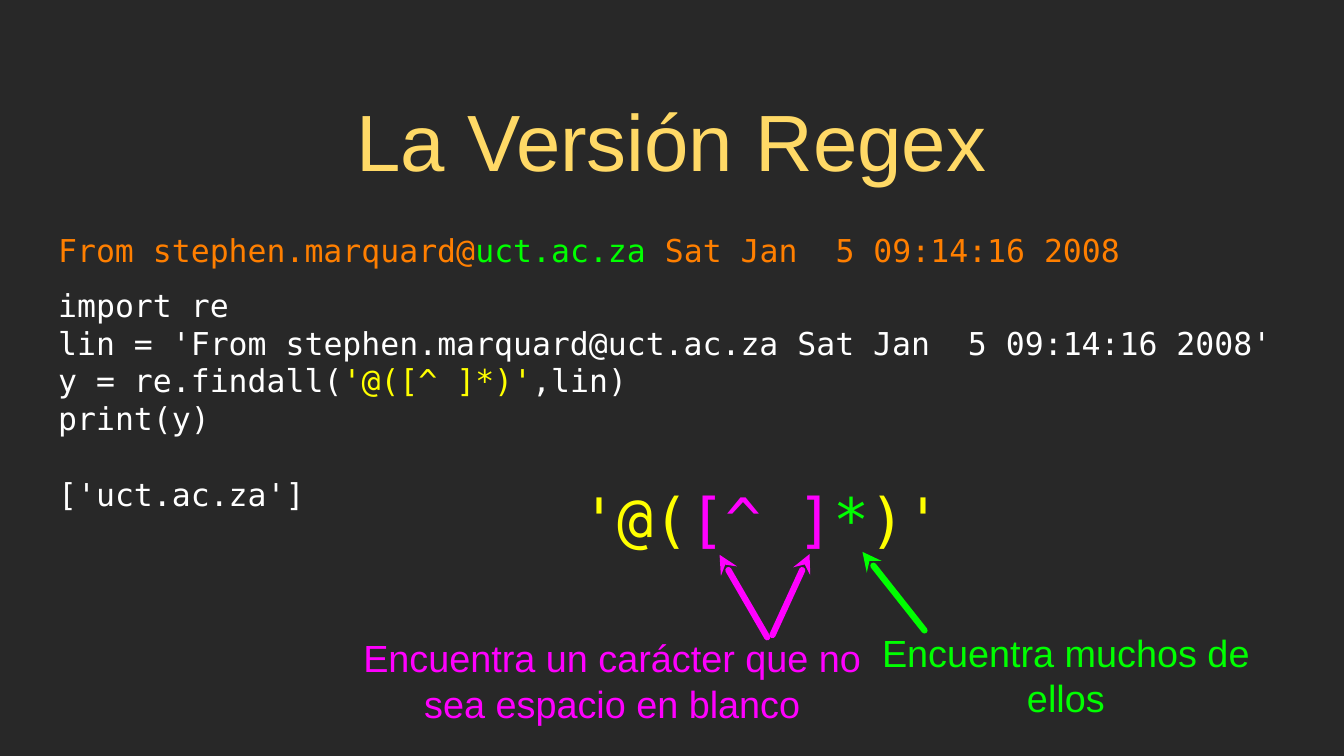
"""Build a slide that explains a regular expression."""
from dataclasses import dataclass

import pptx
import pptx.util
import pptx.dml.color
import pptx.enum.shapes
import pptx.enum.text
import lxml.etree

Pt = pptx.util.Pt
ALIGN = pptx.enum.text.PP_ALIGN
NS = "http://schemas.openxmlformats.org/drawingml/2006/main"


@dataclass(frozen=True)
class Theme:
    """Hold the colours, fonts and type sizes."""
    back: str = "282828"
    gold: str = "FFD966"
    white: str = "FFFFFF"
    yellow: str = "FFFF00"
    pink: str = "FF00FF"
    green: str = "00FF00"
    orange: str = "FF7F00"
    sans: str = "Arial"
    mono: str = "DejaVu Sans Mono"
    title: int = 76
    large: int = 57
    note: int = 36
    code: int = 30


THEME = Theme()


def paint(color):
    """Turn a hex string into a colour."""
    return pptx.dml.color.RGBColor.from_string(color)


def place(shape, box):
    """Move a shape to a box given in points."""
    for name, value in zip(("left", "top", "width", "height"), box):
        setattr(shape, name, Pt(value))


def write(shape, lines, face, size, align=ALIGN.LEFT, inset=0):
    """Fill a shape with lines, each a list of text and colour pairs."""
    frame = shape.text_frame
    sides = ("left", "top", "right", "bottom")
    form = {f"margin_{side}": Pt(inset) for side in sides}
    form |= {
        "word_wrap": True,
        "auto_size": pptx.enum.text.MSO_AUTO_SIZE.NONE,
        "vertical_anchor": pptx.enum.text.MSO_ANCHOR.MIDDLE,
    }
    for name, value in form.items():
        setattr(frame, name, value)
    for index, line in enumerate(lines):
        para = frame.add_paragraph() if index else frame.paragraphs[0]
        para.alignment = align
        for text, color in line:
            run = para.add_run()
            run.text = text
            for name, value in {"name": face, "size": Pt(size)}.items():
                setattr(run.font, name, value)
            run.font.color.rgb = paint(color)
    return frame


def add_text(slide, box, lines, face, size, align=ALIGN.LEFT):
    """Add a text box with styled lines."""
    shape = slide.shapes.add_textbox(*map(Pt, box))
    return write(shape, lines, face, size, align)


def add_arrow(slide, tip, tail, color):
    """Draw a thick arrow that points at the tip."""
    kind = pptx.enum.shapes.MSO_CONNECTOR.STRAIGHT
    arrow = slide.shapes.add_connector(kind, *map(Pt, tip + tail))
    arrow.line.color.rgb = paint(color)
    arrow.line.width = Pt(6)
    props = arrow._element.spPr
    line = props.find(f"{{{NS}}}ln")
    line.set("cap", "rnd")
    lxml.etree.SubElement(line, f"{{{NS}}}headEnd", type="stealth")
    lxml.etree.SubElement(props, f"{{{NS}}}effectLst")


def add_title(slide, box):
    """Set the slide title."""
    title = slide.shapes.title
    place(title, box)
    write(title, [[("La Versión Regex", THEME.gold)]],
          THEME.sans, THEME.title, ALIGN.CENTER, 3)


def add_mail(slide, box):
    """Show the mail line with its host marked."""
    line = [("From stephen.marquard@", THEME.orange),
            ("uct.ac.za", THEME.green),
            (" Sat Jan  5 09:14:16 2008", THEME.orange)]
    add_text(slide, box, [line], THEME.mono, THEME.code)


def add_code(slide, box):
    """Show the program, and its output one line below."""
    white = THEME.white
    lines = [
        [("import re", white)],
        [("lin = 'From stephen.marquard@uct.ac.za "
          "Sat Jan  5 09:14:16 2008'", white)],
        [("y = re.findall(", white), ("'@([^ ]*)'", THEME.yellow),
         (",lin)", white)],
        [("print(y)", white)],
        [("['uct.ac.za']", white)],
    ]
    frame = add_text(slide, box, lines, THEME.mono, THEME.code)
    frame.paragraphs[-1].space_before = Pt(36)


def add_regex(slide, box):
    """Show the pattern with arrows from its two notes."""
    left, top, width, height = box
    line = [("'@(", THEME.yellow), ("[^ ]", THEME.pink),
            ("*", THEME.green), (")'", THEME.yellow)]
    add_text(slide, (left + 211.7, top, 345.6, 69.1), [line],
             THEME.mono, THEME.large)
    notes = [
        (0, height - 49, 482.4, THEME.pink,
         "Encuentra un carácter que no sea espacio en blanco"),
        (width - 387.4, height - 54, 387.4, THEME.green,
         "Encuentra muchos de ellos"),
    ]
    for x, y, wide, color, text in notes:
        add_text(slide, (left + x, top + y, wide, 49), [[(text, color)]],
                 THEME.sans, THEME.note, ALIGN.CENTER)
    arrows = [
        ((343.4, 69.8), (388.8, 148.3), THEME.pink),
        ((429.1, 69.1), (393.8, 146.2), THEME.pink),
        ((479.5, 67), (538.6, 141.8), THEME.green),
    ]
    for tip, tail, color in arrows:
        ends = [(left + x, top + y) for x, y in (tip, tail)]
        add_arrow(slide, *ends, color)


def main():
    """Build and save the slide."""
    deck = pptx.Presentation()
    deck.slide_width, deck.slide_height = Pt(1280.16), Pt(720)
    slide = deck.slides.add_slide(deck.slide_layouts[5])
    fill = slide.background.fill
    fill.solid()
    fill.fore_color.rgb = paint(THEME.back)
    add_title(slide, (90.7, 65.5, 1097.3, 134.6))
    add_mail(slide, (55.4, 211.7, 1120.3, 53.3))
    add_code(slide, (55.4, 277.9, 1175, 204.5))
    add_regex(slide, (342, 458.6, 866.9, 213.9))
    deck.save("out.pptx")


if __name__ == "__main__":
    main()
